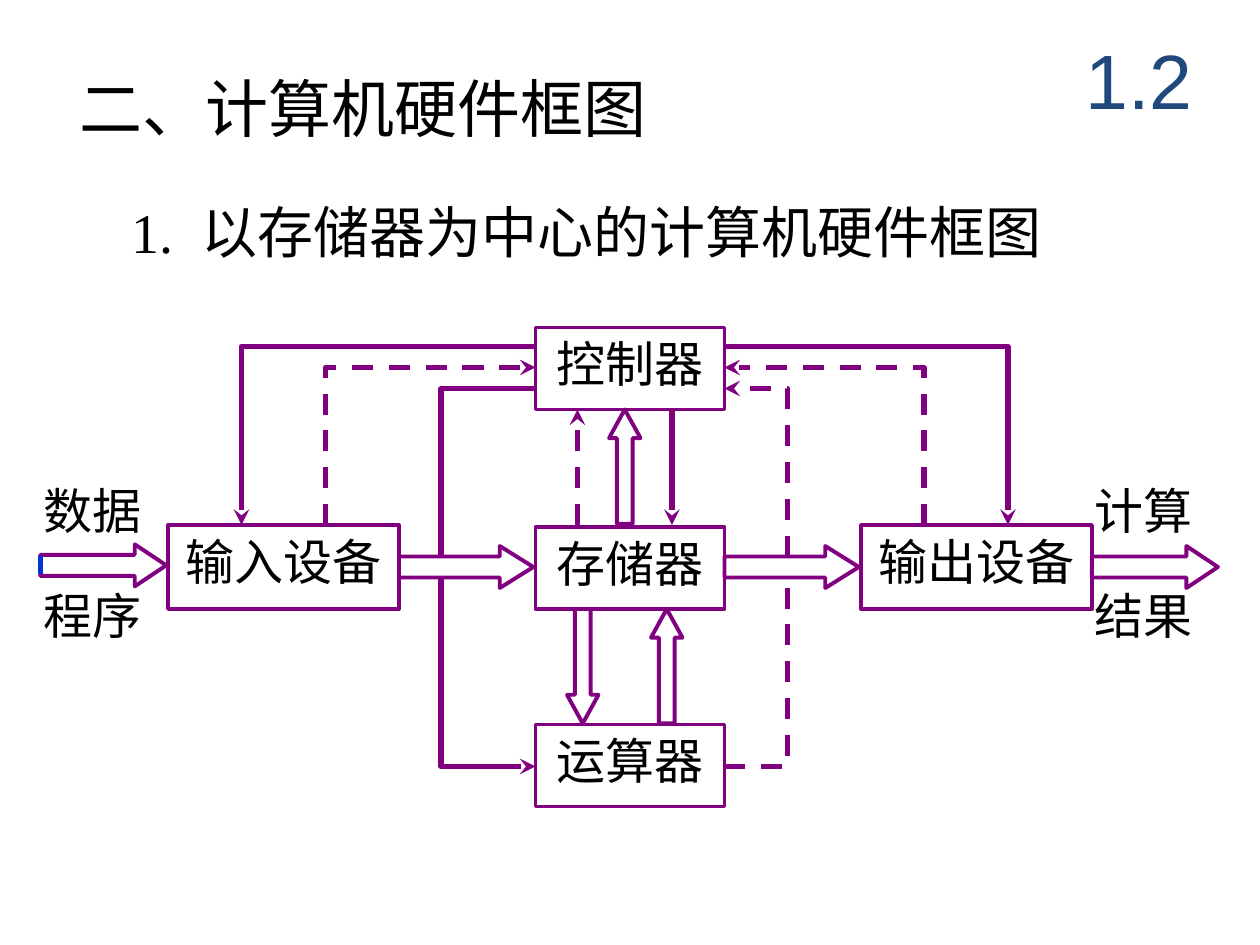
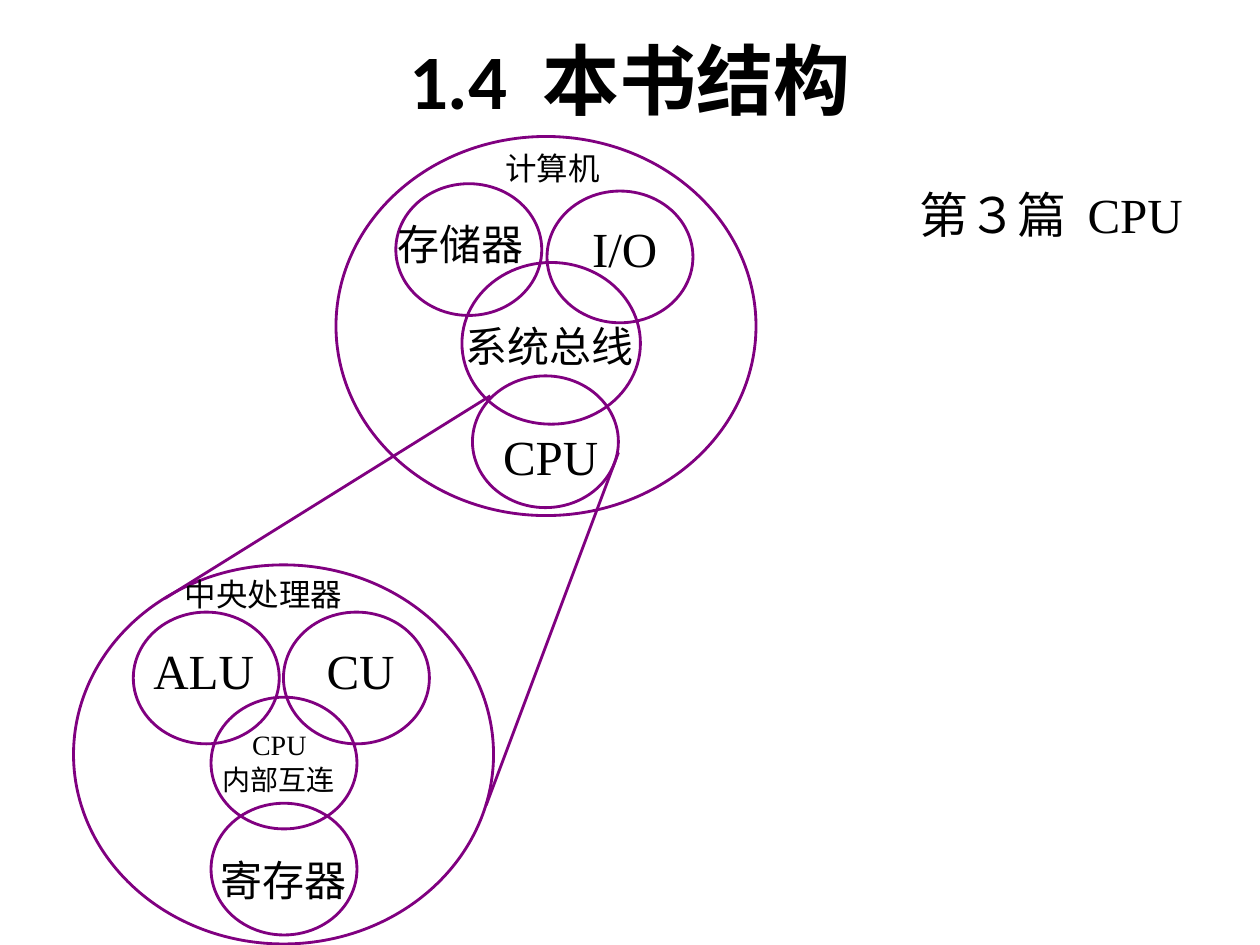
from lxml import etree
from pptx import Presentation
from pptx import util as u
from pptx.dml import color
from pptx.enum import dml, shapes, text
from pptx.oxml import ns

COLORS = {"ink": "000000", "diagram": "800080", "number": "1F497D", "mark": "0033D8"}
SERIF = "Times New Roman"
COLUMNS, ROWS = 120, 90


def apply(target, **values):
    for name, value in values.items():
        setattr(target, name, value)


def rgb(name):
    return color.RGBColor.from_string(COLORS[name])


class Deck:
    """Holds the style and the current slide; places are in grid columns and rows."""

    def __init__(self):
        self.presentation = Presentation()
        apply(self.presentation, slide_width=u.Inches(10), slide_height=u.Inches(7.5))
        self.column = self.presentation.slide_width / COLUMNS
        self.row = self.presentation.slide_height / ROWS
        self.slide = None

    def add_slide(self):
        self.slide = self.presentation.slides.add_slide(self.presentation.slide_layouts[6])

    def place(self, *values):
        return [round(value * (self.row if index % 2 else self.column))
                for index, value in enumerate(values)]

    def fill_text(self, shape, runs, size, font="Calibri", ink="ink", bold=False, wrap=False,
                  center=True, middle=False, inset=True):
        """Runs are strings, or (string, font, extra spacing in points)."""
        frame = shape.text_frame
        side, end = (u.Inches(0.1), u.Inches(0.05)) if inset else (0, 0)
        apply(frame, word_wrap=wrap, auto_size=text.MSO_AUTO_SIZE.NONE,
              margin_left=side, margin_right=side, margin_top=end, margin_bottom=end,
              vertical_anchor=text.MSO_ANCHOR.MIDDLE if middle else text.MSO_ANCHOR.TOP)
        paragraph = frame.paragraphs[0]
        paragraph.alignment = text.PP_ALIGN.CENTER if center else text.PP_ALIGN.LEFT
        for item in [runs] if isinstance(runs, str) else runs:
            words, face, spacing = (item, font, 0) if isinstance(item, str) else item
            run = paragraph.add_run()
            run.text = words
            apply(run.font, name=face, size=u.Pt(size), bold=bold)
            run.font.color.rgb = rgb(ink)
            if spacing:
                run.font._element.set("spc", str(spacing * 100))

    def label(self, at, runs, size, **style):
        self.fill_text(self.slide.shapes.add_textbox(*self.place(*at)), runs, size, **style)

    def outline(self, shape, width, ink="diagram", dashed=False, arrow=False):
        shape.line.width = u.Pt(width)
        shape.line.color.rgb = rgb(ink)
        if dashed:
            shape.line.dash_style = dml.MSO_LINE.DASH
        if arrow:
            line = shape._element.spPr.find(ns.qn("a:ln"))
            etree.SubElement(line, ns.qn("a:tailEnd"), type="stealth")

    def figure(self, kind, at, width=2.25, adjustments=()):
        shape = self.slide.shapes.add_shape(kind, *self.place(*at))
        shape.shadow.inherit = False
        shape.fill.background()
        self.outline(shape, width)
        for index, value in enumerate(adjustments):
            shape.adjustments[index] = value
        return shape

    def box(self, at, words, width=2):
        shape = self.figure(shapes.MSO_SHAPE.RECTANGLE, at, width)
        self.fill_text(shape, words, 28)

    def ellipse(self, at):
        self.figure(shapes.MSO_SHAPE.OVAL, at, 1.62)

    def straight(self, ends, width, **style):
        line = self.slide.shapes.add_connector(shapes.MSO_CONNECTOR.STRAIGHT, *self.place(*ends))
        self.outline(line, width, **style)
        etree.SubElement(line._element.spPr, ns.qn("a:effectLst"))

    def bent(self, points, **style):
        start, *others = [self.place(*point) for point in points]
        builder = self.slide.shapes.build_freeform(*start, scale=1.0)
        builder.add_line_segments(others, close=False)
        shape = builder.convert_to_shape()
        shape.shadow.inherit = False
        shape.fill.background()
        self.outline(shape, 3, **style)


def hardware_slide(deck):
    deck.add_slide()

    # Headings
    deck.label((6.4, 6, 84.6, 8.4), "二、计算机硬件框图", 36, wrap=True, center=False)
    deck.label((101, 2, 15, 11), "1.2", 44, font="Arial", ink="number", middle=True, wrap=True)
    deck.label((11.3, 18.2, 89, 7.7),
               ["1.", (" ", SERIF, 8), "以存储器为中心的计算机硬件框图"],
               32, font=SERIF, center=False)

    # Units: a central column and the two devices beside it
    for top, name in ((31.2, "控制器"), (50.2, "存储器"), (69, "运算器")):
        deck.box((51, top, 18, 7.8), name)
    for left, name, width in ((16, "输入设备", 2.25), (82, "输出设备", 2)):
        deck.box((left, 50, 22, 8), name, width)

    # Data flow: block arrows
    for left, top, length in ((3.84, 51.84, 12), (38, 52, 12.8), (69, 52, 12.8), (104, 52, 12)):
        deck.figure(shapes.MSO_SHAPE.RIGHT_ARROW, (left, top, length, 4),
                    adjustments=(0.5, 0.75 if length == 12 else 0.8))
    up, down = shapes.MSO_SHAPE.UP_ARROW, shapes.MSO_SHAPE.DOWN_ARROW
    for kind, left, top in ((up, 58, 39), (up, 62, 58), (down, 54, 58)):
        deck.figure(kind, (left, top, 3, 10.9), adjustments=(0.5, 0.91))
    deck.straight((3.84, 53, 3.84, 54.7), 3, ink="mark")

    # Control flow: solid commands and dashed feedback
    deck.straight((55, 50, 55, 39), 3, dashed=True, arrow=True)
    deck.straight((64, 39, 64, 50), 3, arrow=True)
    routes = (
        ([(42, 53), (42, 37), (51, 37)], False, False),
        ([(42, 55), (42, 73), (51, 73)], False, True),
        ([(69, 73), (75, 73), (75, 55)], True, False),
        ([(75, 53), (75, 37), (69, 37)], True, True),
        ([(31, 50), (31, 35), (51, 35)], True, True),
        ([(51, 33), (23, 33), (23, 50)], False, True),
        ([(88, 50), (88, 35), (69, 35)], True, True),
        ([(69, 33), (96, 33), (96, 50)], False, True),
    )
    for points, dashed, arrow in routes:
        deck.bent(points, dashed=dashed, arrow=arrow)

    # Words above and below the outer arrows
    for left, pair in ((3, ("数据", "程序")), (103.1, ("计算", "结果"))):
        for top, words in zip((45.2, 55.2), pair):
            deck.label((left, top, 11.6, 6.8), words, 28)


def structure_slide(deck):
    deck.add_slide()

    # Headings
    deck.label((9, 0, 102, 15), ["1.4", (" ", "Calibri", 10), "本书结构"], 44,
               bold=True, middle=True, wrap=True)
    deck.label((80.2, 17, 39.8, 6.8),
               ["第", ("３", SERIF, 0), "篇", (" ", "Calibri", 6), ("CPU", SERIF, 0)],
               28, wrap=True)

    # Clusters: origin, inner circles, labels, all measured from the origin
    part = (13.9, 12.55)
    clusters = (
        ((32, 13),
         [(5.7, 4.5, *part), (20.1, 5.2, *part), (12, 12, 17, 15.4), (13, 22.8, *part)],
         [((16.1, 1.2, 9, 3.6), "计算机", 18, "Calibri"),
          ((5.9, 7.8, 12, 4.8), "存储器", 24, "Calibri"),
          ((22.6, 7.8, 9.8, 5.6), "I/O", 28, SERIF),
          ((12.3, 17.5, 16, 4.8), "系统总线", 24, "Calibri"),
          ((15.9, 27.6, 9.1, 5.6), "CPU", 28, SERIF)]),
        ((7, 53.8),
         [(5.7, 4.5, *part), (20, 4.5, *part), (13.1, 12.6, *part), (13.1, 22.7, *part)],
         [((10.6, 1, 15, 3.6), "中央处理器", 18, "Calibri"),
          ((7.6, 7.2, 9.6, 5.6), "ALU", 28, SERIF),
          ((24.1, 7.2, 6.5, 5.6), "CU", 28, SERIF),
          ((17, 15.5, 5.2, 3.1), "CPU", 16, SERIF),
          ((14.2, 18.8, 10.7, 3.2), "内部互连", 16, "Calibri"),
          ((14, 27.6, 12, 4.8), "寄存器", 24, "Calibri")]),
    )
    for (left, top), circles, labels in clusters:
        for x, y, width, height in [(0, 0, 40, 36.1), *circles]:
            deck.ellipse((left + x, top + y, width, height))
        for (x, y, width, height), words, size, font in labels:
            deck.label((left + x, top + y, width, height), words, size, font=font, inset=False)

    # Zoom lines from the CPU circle to its enlarged view
    for ends in ((46.7, 37.7, 15.7, 57), (58.9, 43.1, 46.3, 76.7)):
        deck.straight(ends, 1.62)


def main():
    deck = Deck()
    hardware_slide(deck)
    structure_slide(deck)
    deck.presentation.save("out.pptx")


if __name__ == "__main__":
    main()
